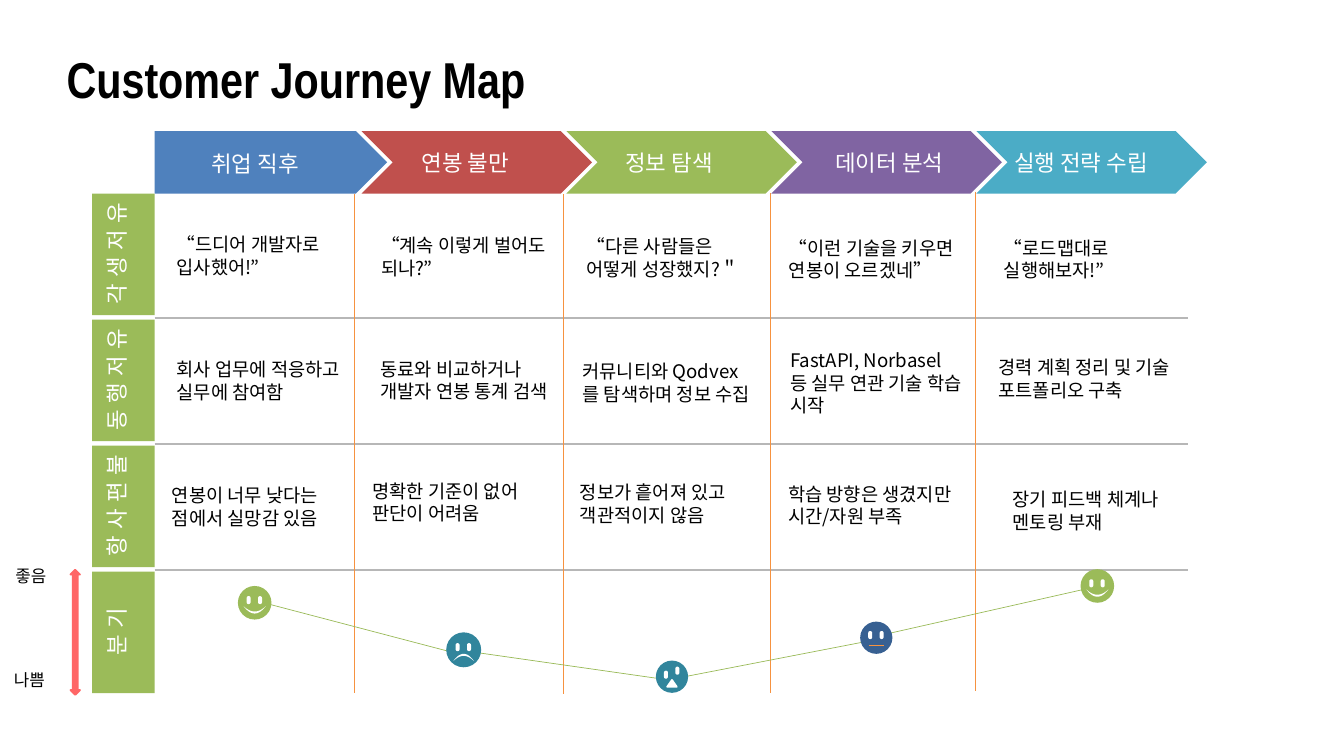
import pptx
import pptx.util
import pptx.dml.color
import pptx.enum.shapes
import pptx.enum.text
from lxml import etree

Inches = pptx.util.Inches
Kind = pptx.enum.shapes.MSO_SHAPE
Align = pptx.enum.text.PP_ALIGN
Anchor = pptx.enum.text.MSO_ANCHOR
NS = "http://schemas.openxmlformats.org/drawingml/2006/main"
SANS = "Noto Sans CJK KR"

HEX = {"blue": "4F81BD", "red": "C0504D", "green": "9BBB59", "purple": "8064A2",
       "aqua": "4BACC6", "teal": "31859C", "navy": "376092", "grid": "B7B7B7",
       "orange": "F69240", "mood": "98B955", "pink": "FF6666",
       "white": "FFFFFF", "black": "000000"}

# Each stage: label, its left, top and width, arrow colour
STAGES = [("취업 직후", 2.24, 1.97, 3.11, "blue"), ("연봉 불만", 5.41, 1.95, 3.03, "red"),
          ("정보 탐색", 8.44, 1.95, 3.03, "green"), ("데이터 분석", 11.72, 1.95, 3.03, "purple"),
          ("실행 전략 수립", 14.53, 1.95, 3.11, "aqua")]

# Each row: name, then (left, top, text) for every stage
ROWS = [
    ("유저 생각", [(2.43, 3.24, "“드디어 개발자로 입사했어!”"),
               (5.47, 3.25, "“계속 이렇게 벌어도 되나?”"),
               (8.53, 3.27, "“다른 사람들은 어떻게 성장했지?＂"),
               (11.54, 3.29, "“이런 기술을 키우면 연봉이 오르겠네”"),
               (14.74, 3.29, "“로드맵대로 실행해보자!”")]),
    ("유저행동", [(2.43, 5.1, "회사 업무에 적응하고 실무에 참여함"),
              (5.46, 5.09, "동료와 비교하거나 개발자 연봉 통계 검색"),
              (8.47, 5.13, "커뮤니티와 Qodvex를 탐색하며 정보 수집"),
              (11.56, 5.13, "FastAPI, Norbasel 등 실무 연관 기술 학습 시작"),
              (14.66, 5.07, "경력 계획 정리 및 기술 포트폴리오 구축")]),
    ("불편사항", [(2.36, 6.97, "연봉이 너무 낮다는 점에서 실망감 있음"),
              (5.34, 6.91, "명확한 기준이 없어 판단이 어려움"),
              (8.43, 6.93, "정보가 흩어져 있고 객관적이지 않음"),
              (11.53, 6.95, "학습 방향은 생겼지만 시간/자원 부족"),
              (14.87, 7.03, "장기 피드백 체계나 멘토링 부재")]),
    ("기분", []),
]

# Each face: box, colour, mouth, drop of left and right eye
FACES = [((3.54, 8.72, 0.5, 0.5), "green", "smile", 0, 0),
         ((6.64, 9.41, 0.52, 0.52), "teal", "frown", 0, 0),
         ((9.76, 9.83, 0.48, 0.48), "teal", "gasp", 0.01, -0.05),
         ((12.8, 9.25, 0.48, 0.48), "navy", "flat", 0, 0),
         ((16.08, 8.47, 0.5, 0.5), "green", "smile", 0, 0)]
MOODS = [(4, 8.99, 6.82, 9.73), (9.82, 10.1, 7.09, 9.71),
         (12.82, 9.56, 10.24, 10.06), (13.21, 9.43, 16.22, 8.75)]


def rgb(name):
    return pptx.dml.color.RGBColor.from_string(HEX[name])


def paint(shape, fill, line=None):
    shape.shadow.inherit = False
    shape.fill.solid()
    shape.fill.fore_color.rgb = rgb(fill)
    if line:
        shape.line.color.rgb = rgb(line)
        shape.line.width = pptx.util.Pt(2)
    else:
        shape.line.fill.background()
    return shape


def block(shapes, kind, box, fill, line=None):
    return paint(shapes.add_shape(kind, *map(Inches, box)), fill, line)


def rule(shapes, ends, color, width=0.75):
    line = shapes.add_connector(pptx.enum.shapes.MSO_CONNECTOR.STRAIGHT, *map(Inches, ends))
    line.line.color.rgb = rgb(color)
    line.line.width = pptx.util.Pt(width)
    etree.SubElement(line._element.spPr, f"{{{NS}}}effectLst")


def write(frame, text, size, color="black", face=SANS, bold=False, align=Align.LEFT,
          pad=0.2, **form):
    form = {"word_wrap": True, "vertical_anchor": Anchor.MIDDLE,
            "auto_size": pptx.enum.text.MSO_AUTO_SIZE.NONE, **form}
    if pad is not None:
        sides = ("left", "top", "right", "bottom")
        form.update({f"margin_{side}": Inches(pad) for side in sides})
    for key, value in form.items():
        setattr(frame, key, value)
    para = frame.paragraphs[0]
    para.alignment = align
    run = para.add_run()
    run.text = text
    look = {"name": face, "size": pptx.util.Pt(size), "bold": bold}
    for key, value in look.items():
        setattr(run.font, key, value)
    run.font.color.rgb = rgb(color)
    # Same face for Korean, with pair kerning off
    props = run._r.get_or_add_rPr()
    props.set("kern", "0")
    etree.SubElement(props, f"{{{NS}}}ea", typeface=face)


def label(shapes, box, text, size, **form):
    area = shapes.add_textbox(*map(Inches, box))
    write(area.text_frame, text, size, **form)
    return area


def head(slide, box):
    title = slide.shapes.title
    for key, value in zip(("left", "top", "width", "height"), box):
        setattr(title, key, Inches(value))
    write(title.text_frame, "Customer Journey Map", 54, face="Arial Narrow", bold=True,
          vertical_anchor=Anchor.TOP)


def stages(shapes, left, top, wide, high):
    step = 3.05
    for i, (text, x, y, w, color) in enumerate(STAGES):
        if i:
            block(shapes, Kind.CHEVRON, (left + 0.03 + step * i, top, wide, high), color)
        else:
            block(shapes, Kind.PENTAGON, (left, top, wide + 0.03, high), color)
    for text, x, y, w, color in STAGES:
        label(shapes, (x, y, w, high), text, 24, color="white", align=Align.CENTER)


def grid(shapes, left, top, wide, step):
    for i, (name, cells) in enumerate(ROWS):
        # Row name, turned to read upwards
        box = (left - 1.37, top + 0.44 + step * i, 1.81, 0.93)
        block(shapes, Kind.RECTANGLE, box, "green").rotation = 90
        area = label(shapes, box, name, 24, color="white", align=Align.CENTER)
        area.rotation = 270
        area.text_frame._txBody.bodyPr.set("vert", "eaVert")
        if i:
            y = top - 0.02 + step * i
            rule(shapes, (left, y, left + wide, y), "grid", 1.5)
        for x, y, text in cells:
            label(shapes, (x, y, 2.96, 1.13), text, 20)
    # Stage dividers
    for x, y in ((5.28, 2.88), (8.39, 2.89), (11.46, 2.87), (14.52, 2.85)):
        rule(shapes, (x, y, x, y + 7.44), "orange")


def curve(shapes, mid, top, wide, high, bend):
    """Thin bow; bend is 1 for a smile and -1 for a frown."""
    steps = [i / 10 for i in range(-10, 11)]
    base = top if bend > 0 else top + high

    def arc(deep):
        return [(Inches(mid + wide / 2 * t), Inches(base + bend * deep * (1 - t * t)))
                for t in steps]

    dots = arc(high) + arc(high - 0.03)[::-1]
    pen = shapes.build_freeform(*dots[0], scale=1.0)
    pen.add_line_segments(dots[1:], close=True)
    paint(pen.convert_to_shape(), "white")


def face(shapes, box, color, mouth, *drops):
    x, y, w, h = box
    mid, cy = x + w / 2, y + h / 2
    group = shapes.add_group_shape().shapes
    block(group, Kind.OVAL, box, color)
    for dx, drop in zip((-0.12, 0.05), drops):
        eye = block(group, Kind.ROUNDED_RECTANGLE,
                    (mid + dx, cy - 0.1 + drop, 0.06, 0.12), "white")
        eye.adjustments[0] = 0.5
    if mouth == "smile":
        curve(group, mid, cy + 0.05, 0.33, 0.11, 1)
    elif mouth == "frown":
        curve(group, mid, cy + 0.06, 0.31, 0.11, -1)
    elif mouth == "flat":
        rule(group, (mid - 0.11, cy + 0.11, mid + 0.11, cy + 0.11), "orange")
    else:
        block(group, Kind.ISOSCELES_TRIANGLE, (mid - 0.07, cy + 0.05, 0.14, 0.1),
              "white", "white")


def moods(shapes, left, top, high):
    for ends in MOODS:
        rule(shapes, ends, "mood")
    for item in FACES:
        face(shapes, *item)
    # Scale from good to bad
    block(shapes, Kind.UP_DOWN_ARROW, (left + 0.92, top, 0.14, high), "pink", "pink")
    for text, x, y in (("좋음", left, top - 0.11), ("나쁨", left - 0.02, top + 1.43)):
        label(shapes, (x, y, 0.71, 0.4), text, 18, pad=None, word_wrap=False,
              vertical_anchor=Anchor.TOP,
              auto_size=pptx.enum.text.MSO_AUTO_SIZE.SHAPE_TO_FIT_TEXT)


def main():
    deck = pptx.Presentation()
    deck.slide_width, deck.slide_height = Inches(20), Inches(11.25)
    slide = deck.slides.add_slide(deck.slide_layouts[5])
    head(slide, (0.79, 0.51, 8.98, 1.23))
    stages(slide.shapes, 2.3, 1.95, 3.43, 0.93)
    grid(slide.shapes, 2.3, 2.88, 15.38, 1.875)
    moods(slide.shapes, 0.13, 8.48, 1.86)
    deck.save("out.pptx")


if __name__ == "__main__":
    main()
